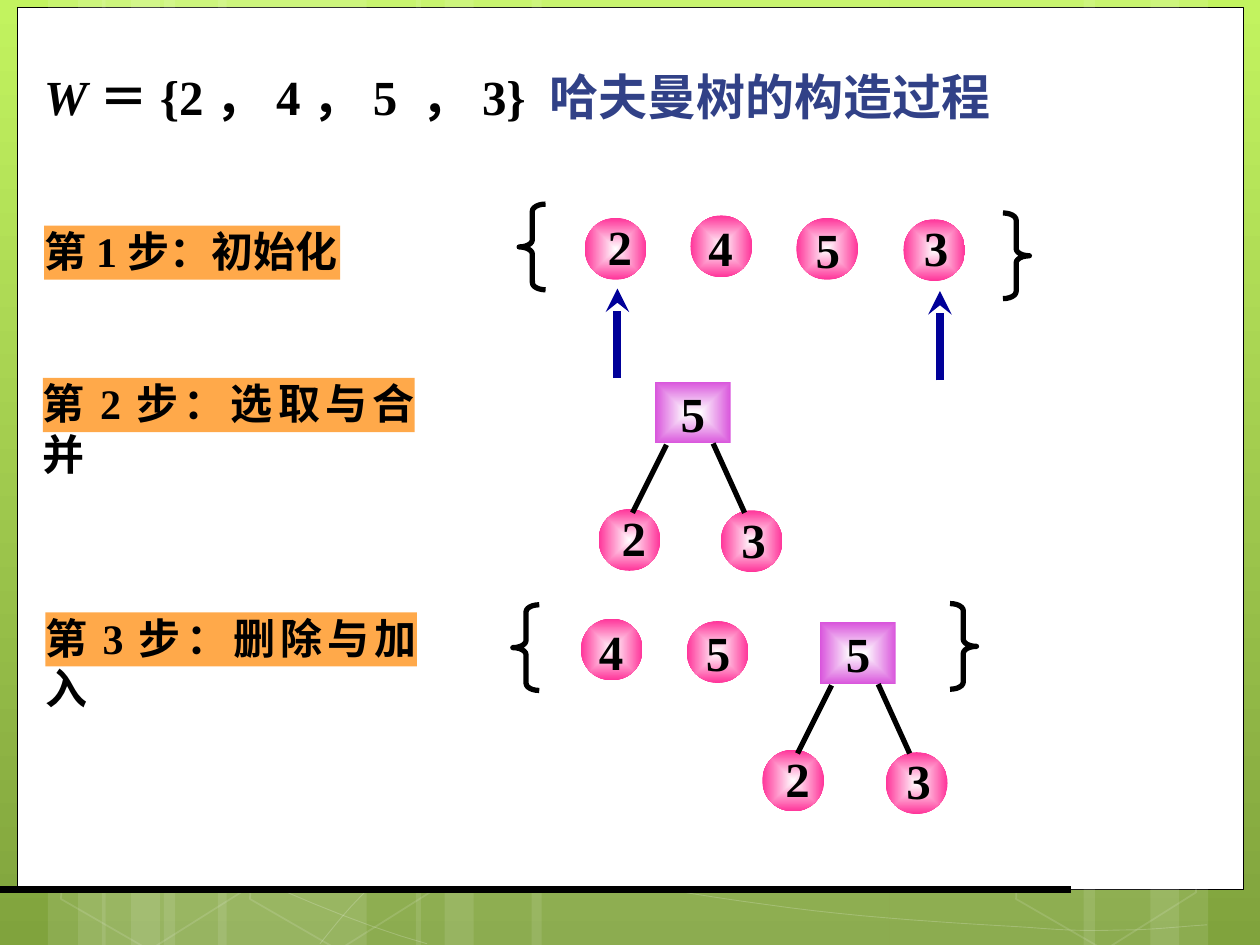
from lxml import etree
from pptx import Presentation, util as u
from pptx.dml.color import RGBColor
from pptx.enum import shapes as kinds, text
from pptx.oxml import ns

SERIF, HAN = "Times New Roman", "Noto Sans CJK SC"
BLACK, WHITE = "000000", "FFFFFF"
color = RGBColor.from_string
preset = kinds.MSO_SHAPE

deck = Presentation()
deck.slide_width, deck.slide_height = u.Inches(10), u.Inches(7.5)
cell = deck.slide_width // 100  # square grid: 100 columns, 75 rows
slide = deck.slides.add_slide(deck.slide_layouts[6])
items = slide.shapes


def draw(kind, area, fill=None, glow=None, edge=None, width=0.5, fade=None):
    """Preset shape in an area (left, top, width, height), or an outline along points."""
    if kind is None:
        points = [(x * cell, y * cell) for x, y in area]
        builder = items.build_freeform(*points[0], scale=1.0)
        builder.add_line_segments(points[1:], close=False)
        shape = builder.convert_to_shape()
    else:
        shape = items.add_shape(kind, *[round(v * cell) for v in area])
    shape.shadow.inherit = False
    if glow:  # white centre fading to the glow colour at the rim
        shape.fill.gradient()
        for stop, tone in zip(shape.fill.gradient_stops, (WHITE, glow)):
            stop.color.rgb = color(tone)
        linear = shape.element.spPr.find(".//" + ns.qn("a:lin"))
        radial = etree.Element(ns.qn("a:path"), path="rect")
        etree.SubElement(radial, ns.qn("a:fillToRect"), l="50000", t="50000", r="50000", b="50000")
        linear.getparent().replace(linear, radial)
    elif fill:
        shape.fill.solid()
        shape.fill.fore_color.rgb = color(fill)
    else:
        shape.fill.background()
    if edge:
        shape.line.color.rgb = color(edge)
        shape.line.width = u.Pt(width)
    else:
        shape.line.fill.background()
    if fade:
        for tone in shape.element.spPr.iter(ns.qn("a:srgbClr")):
            etree.SubElement(tone, ns.qn("a:alpha"), val=str(fade * 1000))
    return shape


def write(frame, runs, size, align, margins=(0, 0, 0, 0), anchor=text.MSO_ANCHOR.TOP):
    """Bold text from (words, font, colour, italic) runs."""
    sides = ("margin_left", "margin_top", "margin_right", "margin_bottom")
    layout = dict(zip(sides, [u.Inches(m) for m in margins]), word_wrap=True, vertical_anchor=anchor)
    for name, value in layout.items():
        setattr(frame, name, value)
    frame.paragraphs[0].alignment = align
    for words, face, tone, italic in runs:
        run = frame.paragraphs[0].add_run()
        run.text = words
        for name, value in dict(size=u.Pt(size), name=face, bold=True, italic=italic).items():
            setattr(run.font, name, value)
        run.font.color.rgb = color(tone)
        etree.SubElement(run.font.element if hasattr(run.font, "element") else run._r.rPr,
                         ns.qn("a:ea"), typeface=HAN)


# Background: green gradient, white panel
backdrop = slide.background.fill
backdrop.gradient()
backdrop.gradient_angle = 270
for stop, tone in zip(backdrop.gradient_stops, ("C2F35F", "80A33D")):
    stop.color.rgb = color(tone)
draw(preset.RECTANGLE, (1.4, 0.6, 97.3, 70), fill=WHITE, edge=BLACK)

# Background: translucent stripes as (left, width)
for left, width in [(13, 16.1), (3.8, 4.6), (6.2, 7.7), (17.3, 16.1), (8.1, 4.6), (10.4, 7.6),
                    (70.6, 16.3), (91.3, 4.6), (86, 7.6), (42.2, 28.4), (33, 4.6), (35.3, 7.7)]:
    draw(preset.RECTANGLE, (left, 0, width, 75), fill=WHITE, fade=10)

# Background: curves, each a start followed by Bezier control triples
sweeps = [
    [(3.6, 61.7), (14.7, 67.2), (25.8, 72.7), (33.9, 74.9)],
    [(3.7, 57.8), (6.6, 58.9), (9.5, 60), (14.9, 61.6), (20.2, 63.1), (28.2, 65.6), (35.9, 67.3),
     (43.6, 69), (53.3, 70.8), (60.9, 71.8), (68.5, 72.9), (76.7, 73.3), (81.6, 73.6),
     (86.4, 74), (87.7, 73.8), (90.1, 73.8), (92.4, 73.7), (94.1, 73.5), (95.8, 73.4)],
    [(25.4, 74.9), (27, 72.9), (28.6, 70.9), (30.9, 69.1), (33.1, 67.2), (36.2, 65.3), (38.8, 63.9),
     (41.3, 62.5), (42.9, 61.9), (46.3, 60.9), (49.7, 59.9), (55.9, 58.5), (59.1, 57.8),
     (62.3, 57.1), (62.8, 57.1), (65.7, 56.9), (68.5, 56.6), (73, 56.3), (76.2, 56.2),
     (79.4, 56.1), (84.7, 56.2), (84.7, 56.2), (88, 56.2), (92, 56.3), (95.7, 56.6)],
]
steps = 12
for sweep in sweeps:
    trail = [sweep[0]]
    for first in range(0, len(sweep) - 1, 3):
        for t in (n / steps for n in range(1, steps + 1)):
            weights = ((1 - t) ** 3, 3 * t * (1 - t) ** 2, 3 * t * t * (1 - t), t ** 3)
            corners = sweep[first:first + 4]
            trail.append(tuple(sum(k * p[axis] for k, p in zip(weights, corners)) for axis in (0, 1)))
    draw(None, trail, edge=WHITE, fade=20)

# Background: hexagons reaching below the panel
for left in (4.1, 19.1, 79.9):
    hexagon = draw(preset.HEXAGON, (left, 59.2, 16.1, 15.2), edge=WHITE, width=1, fade=12)
    hexagon.adjustments[0] = 0.263
    hexagon.rotation = 30

# Title
title = items.add_textbox(*[round(v * cell) for v in (2.5, 4.8, 92.5, 5.7)])
pieces = [("W", SERIF), ("＝", HAN), ("{2", SERIF), ("，", HAN), ("4", SERIF), ("，", HAN),
          ("5 ", SERIF), ("，", HAN), ("3} ", SERIF), ("哈夫曼树的构造过程", HAN)]
write(title.text_frame,
      [(words, face, "314187" if "哈" in words else BLACK, words == "W") for words, face in pieces],
      28, text.PP_ALIGN.LEFT, (0.1, 0.05, 0.1, 0.05))

# Step labels
for words, left, top, width in [("第1步：初始化", 3.5, 17.9, 23.5),
                                ("第2步：选取与合并", 3.4, 30, 29.5),
                                ("第3步：删除与加入", 3.6, 48.6, 29.5)]:
    label = draw(preset.RECTANGLE, (left, top, width, 4.3), fill="FFA94A")
    write(label.text_frame, [(words, SERIF, BLACK, False)], 24, text.PP_ALIGN.JUSTIFY)

# Set braces
for kind, left, top in [(preset.LEFT_BRACE, 41.2, 16.2), (preset.RIGHT_BRACE, 79.6, 16.9),
                        (preset.LEFT_BRACE, 40.7, 48), (preset.RIGHT_BRACE, 75.4, 47.9)]:
    brace = draw(kind, (left, top, 2.1, 6.8), edge=BLACK, width=3)
    brace.adjustments[0] = 0.27

# Leaf nodes, each digit nudged inside its circle
nudges = {"2": (0.7, -0.1), "3": (0.5, -0.1), "4": (0.3, 0.2), "5": (0.4, 0.1)}
leaves = [("2", 46.4, 17.3), ("4", 54.8, 17.1), ("5", 63.2, 17.3), ("3", 71.7, 17.4),
          ("2", 47.5, 40.4), ("3", 57.2, 40.5),
          ("4", 46.1, 49.1), ("5", 54.5, 49.3), ("2", 60.5, 59.5), ("3", 70.3, 59.7)]
for digit, left, top in leaves:
    draw(preset.OVAL, (left, top, 4.9, 4.9), glow="FF3399")
    right, down = nudges[digit]
    weight = items.add_textbox(*[round(v * cell) for v in (left + right, top + down, 4.2, 5.7)])
    write(weight.text_frame, [(digit, SERIF, BLACK, False)], 28, text.PP_ALIGN.CENTER)

# Merged roots, with their branches gathered as (from, to, colour, width, arrow)
strokes = [((0, 70.6), (85, 70.6), BLACK, 4.5, False),
           ((74.6, 30.2), (74.6, 23.1), "000099", 4.5, True),
           ((49, 30), (49, 22.9), "000099", 4.5, True)]
for left, top in [(52, 30.3), (65.1, 49.4)]:
    root = draw(preset.RECTANGLE, (left, top, 6, 4.9), glow="D955DC")
    write(root.text_frame, [("5", SERIF, BLACK, False)], 28, text.PP_ALIGN.CENTER,
          anchor=text.MSO_ANCHOR.MIDDLE)
    strokes += [((left + 0.9, top + 5), (left - 1.8, top + 10.4), BLACK, 3, False),
                ((left + 4.6, top + 4.9), (left + 7.1, top + 10.4), BLACK, 3, False)]

# Baseline, selection arrows and branches
for start, end, tone, width, arrow in strokes:
    stroke = items.add_connector(kinds.MSO_CONNECTOR.STRAIGHT, *[round(v * cell) for v in start + end])
    stroke.line.color.rgb = color(tone)
    stroke.line.width = u.Pt(width)
    if arrow:
        etree.SubElement(stroke.line._get_or_add_ln(), ns.qn("a:tailEnd"), type="stealth")
    etree.SubElement(stroke.element.spPr, ns.qn("a:effectLst"))

deck.save("out.pptx")
